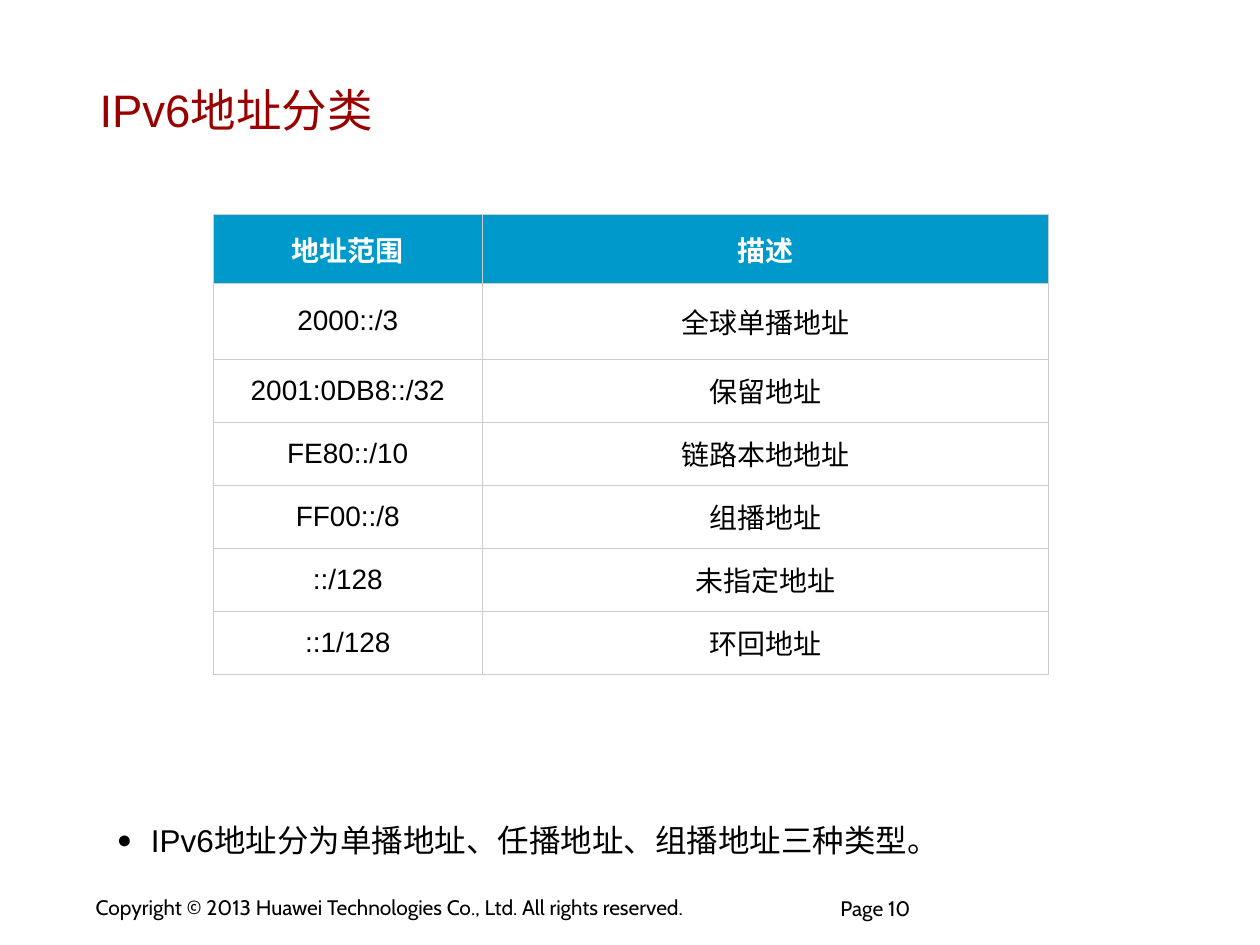
from lxml.etree import SubElement
from pptx import Presentation
from pptx.dml.color import RGBColor
from pptx.enum.text import MSO_ANCHOR, PP_ALIGN
from pptx.oxml.ns import qn
from pptx.util import Inches, Pt

BLACK = RGBColor(0x00, 0x00, 0x00)
WHITE = RGBColor(0xFF, 0xFF, 0xFF)
DARK_RED = RGBColor(0x99, 0x00, 0x00)
HEADER_BLUE = RGBColor(0x00, 0x99, 0xCC)
BORDER_GREY = RGBColor(0xCC, 0xCC, 0xCC)

COLUMNS, ROWS = 100, 75  # grid over the whole slide

ADDRESS_ROWS = [
    ("地址范围", "描述"),
    ("2000::/3", "全球单播地址"),
    ("2001:0DB8::/32", "保留地址"),
    ("FE80::/10", "链路本地地址"),
    ("FF00::/8", "组播地址"),
    ("::/128", "未指定地址"),
    ("::1/128", "环回地址"),
]


class SlideBuilder:
    """Holds the style and the current slide; lengths are grid units."""

    body_font = "Arial"
    footer_font = "Cabin"

    def __init__(self, presentation):
        self.column = presentation.slide_width / COLUMNS
        self.row = presentation.slide_height / ROWS
        self.slide = presentation.slides.add_slide(presentation.slide_layouts[6])

    def area(self, left, top, width, height):
        return (round(left * self.column), round(top * self.row),
                round(width * self.column), round(height * self.row))

    def style(self, paragraph, size, color=BLACK, name=body_font, bold=False):
        font = paragraph.font
        font.size, font.name, font.bold = Pt(size), name, bold
        font.color.rgb = color

    def text(self, words, place, size, margins=(0.09, 0.04), wrap=True,
             anchor=MSO_ANCHOR.TOP, bullet=False, line_spacing=None, **style):
        frame = self.slide.shapes.add_textbox(*self.area(*place)).text_frame
        frame.word_wrap = wrap
        frame.vertical_anchor = anchor
        frame.margin_left = frame.margin_right = Inches(margins[0])
        frame.margin_top = frame.margin_bottom = Inches(margins[1])
        paragraph = frame.paragraphs[0]
        paragraph.text = words
        if line_spacing:
            paragraph.line_spacing = line_spacing
        if bullet:
            self.bullet(paragraph)
        self.style(paragraph, size, **style)

    def bullet(self, paragraph):
        properties = paragraph._p.get_or_add_pPr()
        indent = Inches(0.27)
        properties.set("marL", str(indent))
        properties.set("indent", str(-indent))
        color = SubElement(properties, qn("a:buClr"))
        SubElement(color, qn("a:srgbClr"), val=str(BLACK))
        SubElement(properties, qn("a:buSzPct"), val="80000")
        SubElement(properties, qn("a:buFont"), typeface=self.body_font)
        SubElement(properties, qn("a:buChar"), char="●")

    def borders(self, cell):
        properties = cell._tc.get_or_add_tcPr()
        for side in ("lnL", "lnR", "lnT", "lnB"):
            line = SubElement(properties, qn(f"a:{side}"), w=str(Pt(0.45)))
            fill = SubElement(line, qn("a:solidFill"))
            SubElement(fill, qn("a:srgbClr"), val=str(BORDER_GREY))

    def table(self, rows, left, top, widths, heights, size):
        place = self.area(left, top, sum(widths), sum(heights))
        table = self.slide.shapes.add_table(len(rows), len(widths), *place).table
        table.first_row = table.horz_banding = False
        for column, width in zip(table.columns, widths):
            column.width = round(width * self.column)
        for row, height in zip(table.rows, heights):
            row.height = round(height * self.row)
        for row_index, row in enumerate(rows):
            header = row_index == 0
            for column_index, words in enumerate(row):
                cell = table.cell(row_index, column_index)
                cell.text = words
                cell.vertical_anchor = MSO_ANCHOR.MIDDLE
                self.borders(cell)
                if header:
                    cell.fill.solid()
                    cell.fill.fore_color.rgb = HEADER_BLUE
                else:
                    cell.fill.background()
                paragraph = cell.text_frame.paragraphs[0]
                paragraph.alignment = PP_ALIGN.CENTER
                self.style(paragraph, size, WHITE if header else BLACK, bold=header)


def main():
    presentation = Presentation()
    presentation.slide_width = Inches(10)
    presentation.slide_height = Inches(7.5)
    builder = SlideBuilder(presentation)

    # Title
    builder.text("IPv6地址分类", (7, 3.9, 84.5, 9.5), 26,
                 anchor=MSO_ANCHOR.MIDDLE, color=DARK_RED)

    # Address table
    builder.table(ADDRESS_ROWS, 16.9, 17, widths=[21.4, 44.9],
                  heights=[5.5, 6] + [5] * 5, size=16)

    # Summary bullet
    builder.text("IPv6地址分为单播地址、任播地址、组播地址三种类型。",
                 (8.3, 63.5, 83.4, 5.5), 18, margins=(0.1, 0.05),
                 bullet=True, line_spacing=1.4)

    # Footer
    builder.text("Copyright © 2013 Huawei Technologies Co., Ltd. All rights reserved.",
                 (6.7, 70.6, 55.7, 2.9), 12, wrap=False, name=builder.footer_font)
    builder.text("Page 10", (66.7, 71.4, 16.6, 3.6), 12, margins=(0, 0),
                 line_spacing=0.85, name=builder.footer_font)

    presentation.save("out.pptx")


if __name__ == "__main__":
    main()
